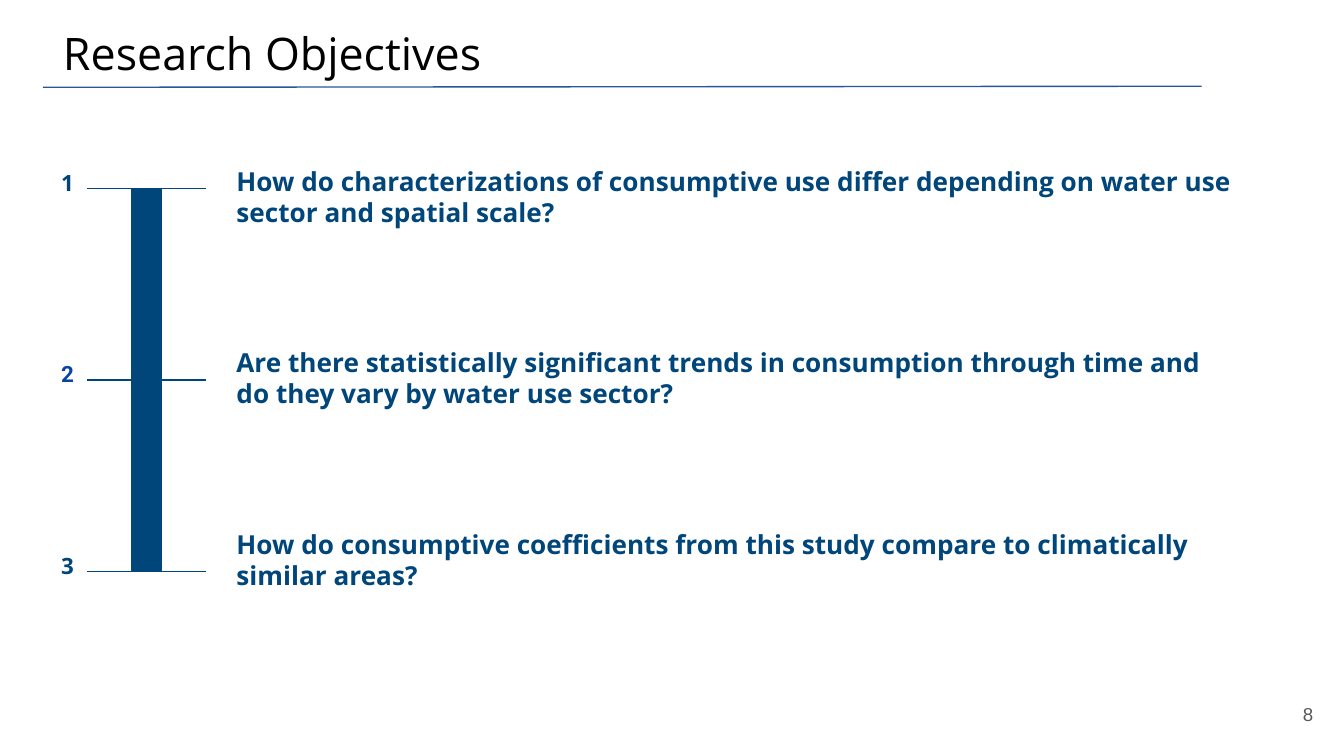
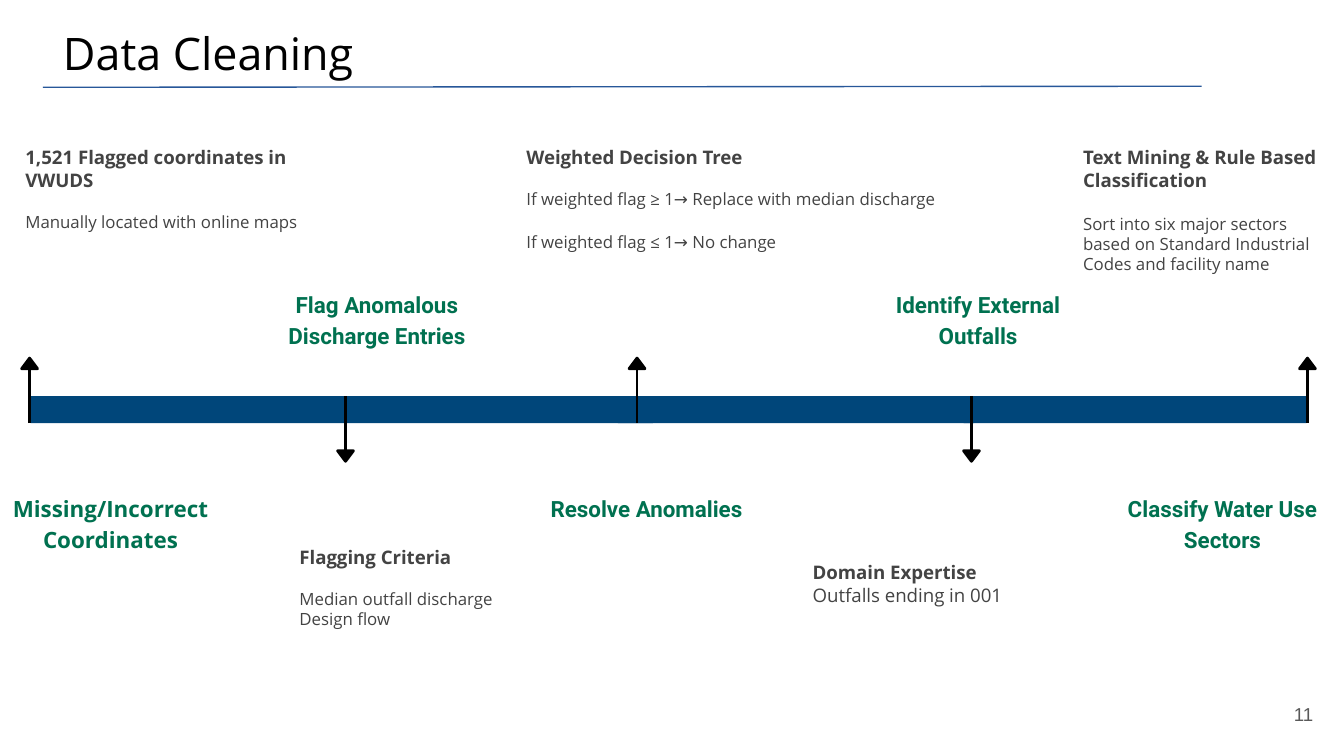
from dataclasses import dataclass

from lxml.etree import SubElement
from pptx import Presentation
from pptx.dml.color import RGBColor as Rgb
from pptx.enum.shapes import MSO_CONNECTOR as Connector
from pptx.enum.shapes import MSO_SHAPE as Preset
from pptx.enum.text import MSO_ANCHOR as Anchor
from pptx.enum.text import MSO_AUTO_SIZE as AutoSize
from pptx.enum.text import PP_ALIGN as Align
from pptx.oxml.ns import qn
from pptx.util import Cm, Pt


@dataclass(frozen=True)
class Theme:
    navy: Rgb = Rgb(0x00, 0x46, 0x7A)
    blue: Rgb = Rgb(0x09, 0x44, 0xA1)
    rule: Rgb = Rgb(0x27, 0x57, 0x99)
    green: Rgb = Rgb(0x00, 0x71, 0x50)
    dark: Rgb = Rgb(0x43, 0x43, 0x43)
    grey: Rgb = Rgb(0x59, 0x59, 0x59)
    black: Rgb = Rgb(0x00, 0x00, 0x00)
    body_font: str = "Open Sans"
    label_font: str = "Roboto"
    number_font: str = "Arial"
    title_size: int = 24
    question_size: int = 14
    label_size: int = 12
    heading_size: int = 10
    detail_size: int = 9
    thin: float = 0.75
    thick: float = 1.5


THEME = Theme()
INSET = Cm(0.25)
TITLE_ONLY = 5
LABEL_SPACING = 1.15

# Objectives: number font and colour, question, box width and height
OBJECTIVES = [
    (THEME.body_font, THEME.navy, 19.63, 2.24,
     "How do characterizations of consumptive use differ depending on "
     "water use sector and spatial scale?"),
    (THEME.label_font, THEME.blue, 19.13, 1.88,
     "Are there statistically significant trends in consumption through "
     "time and do they vary by water use sector?"),
    (THEME.body_font, THEME.navy, 19.63, 1.5,
     "How do consumptive coefficients from this study compare to "
     "climatically similar areas?"),
]
FIRST_TICK, TICK_STEP = 3.56, 3.62
FIRST_QUESTION, QUESTION_STEP = 2.87, 3.43

# Cleaning steps: label, font, box
STEPS = [
    ("Missing/Incorrect Coordinates", THEME.body_font, (-0.08, 9.04, 4.34, 1.27)),
    ("Flag Anomalous Discharge Entries", THEME.label_font, (4.98, 5.18, 4.29, 1.88)),
    ("Resolve Anomalies", THEME.label_font, (9.83, 9.04, 4.78, 1.04)),
    ("Identify External Outfalls", THEME.label_font, (16.26, 5.18, 4.45, 1.6)),
    ("Classify Water Use Sectors", THEME.label_font, (20.88, 9.04, 4.45, 1.6)),
]

# Step details: heading, box, lines as (text, size, space before)
DETAILS = [
    ("1,521 Flagged coordinates in VWUDS", (0.23, 2.51, 6.17, 2.46),
     [("Manually located with online maps", THEME.detail_size, 11)]),
    ("Flagging Criteria", (5.41, 10.06, 6.25, 2.62),
     [("Median outfall discharge", THEME.detail_size, 11),
      ("Design flow", THEME.detail_size, 0)]),
    ("Weighted Decision Tree", (9.7, 2.51, 9.07, 2.08),
     [("If weighted flag ≥ 1→ Replace with median discharge", THEME.detail_size, 11),
      ("If weighted flag ≤ 1→ No change", THEME.detail_size, 12)]),
    ("Domain Expertise", (15.11, 10.36, 6.17, 0.89),
     [("Outfalls ending in 001", THEME.heading_size, 0)]),
    ("Text Mining & Rule Based Classification", (20.22, 2.51, 5.23, 4.7),
     [("Sort into six major sectors based on Standard Industrial Codes "
       "and facility name", THEME.detail_size, 12)]),
]

BAR_TOP, BAR_HEIGHT = 7.49, 0.51
BAR_SEGMENTS = [(11.68, 6.73), (18.21, 6.48), (0.58, 11.76)]
ARROW_CENTRES = [0.56, 6.53, 12.04, 18.36, 24.71]
HEAD_WIDTH, HEAD_HEIGHT, SHAFT = 0.3, 0.2, 1.03


def cm_box(box):
    return [Cm(length) for length in box]


def prepare_frame(frame, anchor=Anchor.TOP):
    frame.word_wrap = True
    frame.auto_size = AutoSize.NONE
    frame.vertical_anchor = anchor
    frame.margin_left = frame.margin_right = INSET
    frame.margin_top = frame.margin_bottom = INSET


def add_run(paragraph, text, size, color, font=THEME.body_font, bold=False):
    run = paragraph.add_run()
    run.text = text
    run.font.name = font
    run.font.size = Pt(size)
    run.font.bold = bold
    run.font.color.rgb = color


def add_text(slide, box, text, size, color, font=THEME.body_font, bold=False,
             align=Align.LEFT, spacing=None, anchor=Anchor.TOP):
    """Add a box with one paragraph and return its text frame."""
    frame = slide.shapes.add_textbox(*cm_box(box)).text_frame
    prepare_frame(frame, anchor)
    paragraph = frame.paragraphs[0]
    paragraph.alignment = align
    if spacing:
        paragraph.line_spacing = spacing
    add_run(paragraph, text, size, color, font, bold)
    return frame


def add_line(shapes, start, end, color, width):
    line = shapes.add_connector(Connector.STRAIGHT, *cm_box(start + end))
    line.line.color.rgb = color
    line.line.width = Pt(width)
    SubElement(line._element.spPr, qn("a:effectLst"))


def add_solid(shapes, preset, box, color, outline=None):
    solid = shapes.add_shape(preset, *cm_box(box))
    solid.shadow.inherit = False
    solid.fill.solid()
    solid.fill.fore_color.rgb = color
    if outline:
        solid.line.color.rgb = color
        solid.line.width = Pt(outline)
    else:
        solid.line.fill.background()
    return solid


def add_titled_slide(deck, heading, page):
    """Add a slide with the shared rule, title and page number."""
    slide = deck.slides.add_slide(deck.slide_layouts[TITLE_ONLY])
    add_line(slide.shapes, (0.81, 1.65), (22.71, 1.63), THEME.rule, THEME.thin)
    title = slide.shapes.title
    title.left, title.top, title.width, title.height = cm_box((0.94, 0.23, 23.67, 1.6))
    prepare_frame(title.text_frame)
    paragraph = title.text_frame.paragraphs[0]
    paragraph.alignment = Align.LEFT
    add_run(paragraph, heading, THEME.title_size, THEME.black)
    add_text(slide, (23.55, 12.95, 1.52, 1.09), page, THEME.heading_size, THEME.grey,
             THEME.number_font, align=Align.RIGHT, anchor=Anchor.MIDDLE)
    return slide


def add_objective(slide, index, font, color, width, height, question):
    tick = FIRST_TICK + index * TICK_STEP
    question_top = FIRST_QUESTION + index * QUESTION_STEP
    add_text(slide, (4.22, question_top, width, height), question,
             THEME.question_size, THEME.navy, bold=True)
    add_text(slide, (-1.55, tick - 0.69, 3.2, 1.6), str(index + 1), THEME.label_size,
             color, font, bold=True, align=Align.RIGHT, spacing=LABEL_SPACING)
    if index < len(OBJECTIVES) - 1:
        add_solid(slide.shapes, Preset.RECTANGLE, (2.49, tick + 0.02, 0.56, 3.58),
                  THEME.navy, THEME.thin)
    add_line(slide.shapes, (3.89, tick), (1.65, tick), THEME.navy, THEME.thin)


def add_detail(slide, heading, box, lines):
    frame = add_text(slide, box, heading, THEME.heading_size, THEME.dark, bold=True)
    for text, size, gap in lines:
        paragraph = frame.add_paragraph()
        paragraph.space_before = Pt(gap)
        add_run(paragraph, text, size, THEME.dark)


def add_arrow(slide, centre, upward):
    """Group a shaft and its head, starting from the bar's far edge."""
    shapes = slide.shapes.add_group_shape().shapes
    tail = BAR_TOP + BAR_HEIGHT if upward else BAR_TOP
    tip = tail - SHAFT if upward else tail + SHAFT
    add_line(shapes, (centre, tail), (centre, tip), THEME.black, THEME.thick)
    head_top = tip - HEAD_HEIGHT if upward else tip
    head = add_solid(shapes, Preset.ISOSCELES_TRIANGLE,
                     (centre - HEAD_WIDTH / 2, head_top, HEAD_WIDTH, HEAD_HEIGHT),
                     THEME.black, THEME.thick)
    head.rotation = 0 if upward else 180


def build_objectives(deck):
    slide = add_titled_slide(deck, "Research Objectives", "8")
    for index, objective in enumerate(OBJECTIVES):
        add_objective(slide, index, *objective)


def build_cleaning(deck):
    slide = add_titled_slide(deck, "Data Cleaning", "11")
    for left, width in BAR_SEGMENTS:
        add_solid(slide.shapes, Preset.RECTANGLE, (left, BAR_TOP, width, BAR_HEIGHT),
                  THEME.navy)
    for label, font, box in STEPS:
        add_text(slide, box, label, THEME.label_size, THEME.green, font, bold=True,
                 align=Align.CENTER, spacing=LABEL_SPACING)
    for detail in DETAILS:
        add_detail(slide, *detail)
    for index, centre in enumerate(ARROW_CENTRES):
        add_arrow(slide, centre, upward=index % 2 == 0)


def main():
    deck = Presentation()
    deck.slide_width, deck.slide_height = Cm(25.4), Cm(14.29)
    build_objectives(deck)
    build_cleaning(deck)
    deck.save("out.pptx")


if __name__ == "__main__":
    main()
